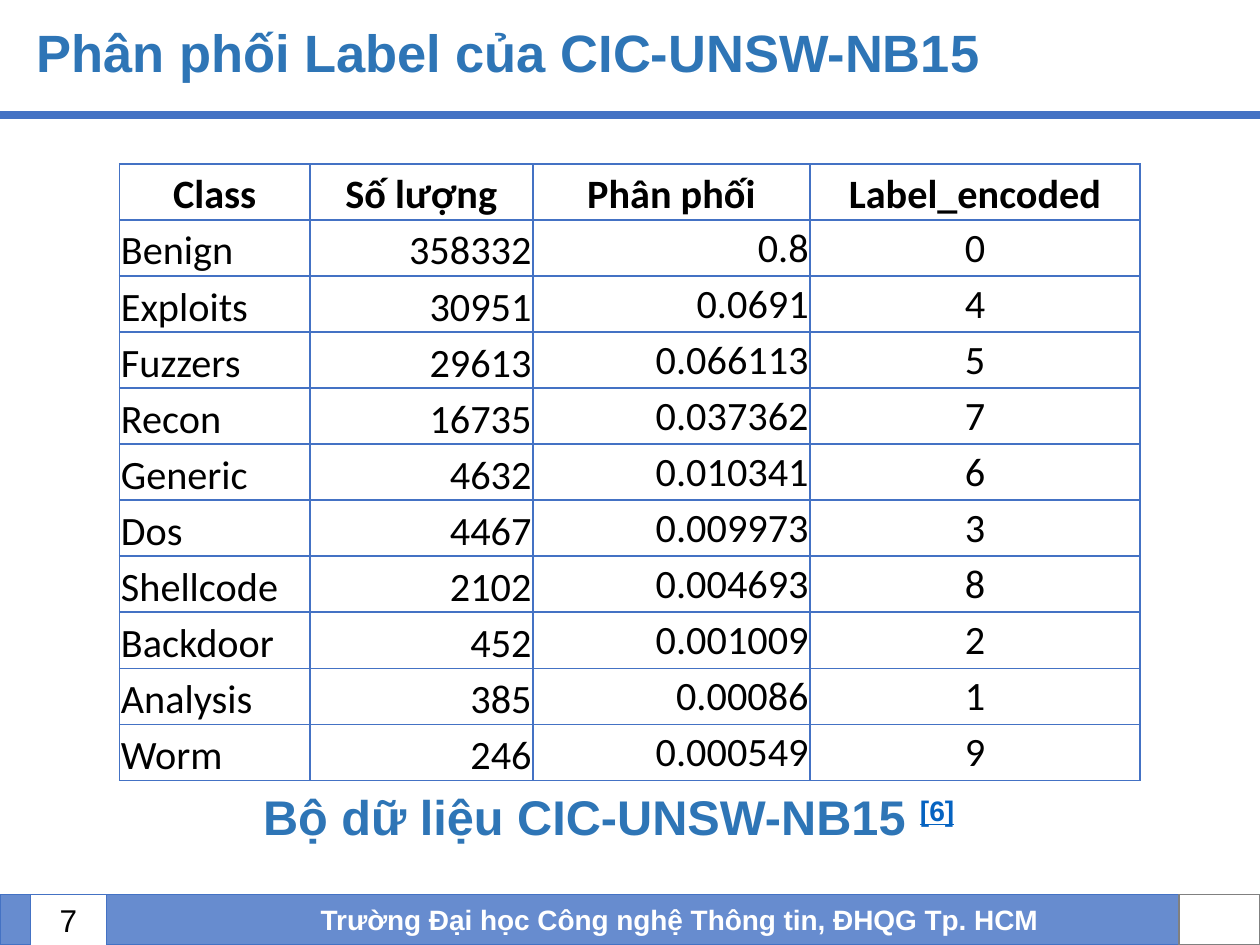
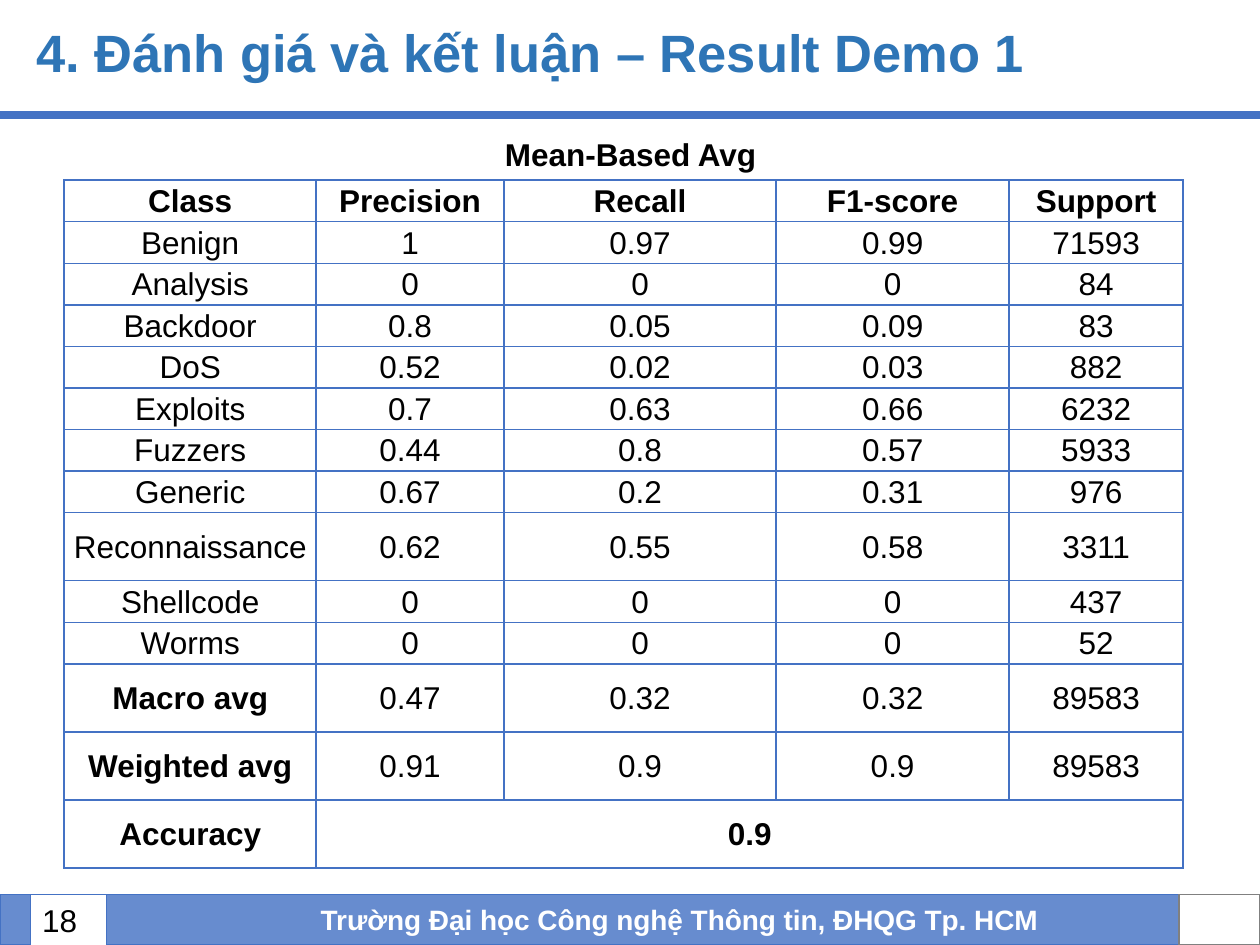
import lxml.etree
import pptx
import pptx.dml.color
import pptx.enum.shapes
import pptx.enum.text
import pptx.oxml.ns
import pptx.util

COLORS = {
    "band": "4472C4",
    "title": "2E75B6",
    "link": "0563C1",
    "frame": "808080",
    "white": "FFFFFF",
    "ink": "000000",
}
ALIGN = {
    "l": pptx.enum.text.PP_ALIGN.LEFT,
    "c": pptx.enum.text.PP_ALIGN.CENTER,
    "r": pptx.enum.text.PP_ALIGN.RIGHT,
}
ANCHOR = {
    "t": pptx.enum.text.MSO_ANCHOR.TOP,
    "m": pptx.enum.text.MSO_ANCHOR.MIDDLE,
    "b": pptx.enum.text.MSO_ANCHOR.BOTTOM,
}
SCHOOL = "Trường Đại học Công nghệ Thông tin, ĐHQG Tp. HCM"

# Grid of 100 columns by 75 rows on a 10 by 7.5 inch slide
COLUMNS, ROWS = 100, 75
FOOTER_TOP, FOOTER_HEIGHT = 71, 4
RULE_ROW = 9.1


def color(name):
    return pptx.dml.color.RGBColor.from_string(COLORS[name])


def add_xml(parent, tag, **attributes):
    return lxml.etree.SubElement(parent, pptx.oxml.ns.qn(tag), attributes)


class Slides:
    def __init__(self):
        self.deck = pptx.Presentation()
        self.deck.slide_width = pptx.util.Inches(10)
        self.deck.slide_height = pptx.util.Inches(7.5)
        self.page = None

    def across(self, columns):
        return int(self.deck.slide_width * columns / COLUMNS)

    def down(self, rows):
        return int(self.deck.slide_height * rows / ROWS)

    def place(self, left, top, width, height):
        return self.across(left), self.down(top), self.across(width), self.down(height)

    # Text
    def style(self, span, size, ink="ink", bold=False, font="Arial"):
        span.font.name = font
        span.font.size = pptx.util.Pt(size)
        span.font.bold = bold
        span.font.color.rgb = color(ink)

    def fill_text(self, frame, text, size, align="l", spacing=None, **look):
        frame.text = text
        para = frame.paragraphs[0]
        para.alignment = ALIGN[align]
        if spacing:
            para.line_spacing = spacing
        self.style(para.runs[0], size, **look)
        return para

    def text(self, at, text, size, anchor="m", **look):
        box = self.page.shapes.add_textbox(*self.place(*at))
        box.text_frame.word_wrap = True
        box.text_frame.vertical_anchor = ANCHOR[anchor]
        return self.fill_text(box.text_frame, text, size, **look)

    # Shapes and lines
    def rectangle(self, at, fill, line, weight):
        kind = pptx.enum.shapes.MSO_SHAPE.RECTANGLE
        box = self.page.shapes.add_shape(kind, *self.place(*at))
        box.shadow.inherit = False
        box.fill.solid()
        box.fill.fore_color.rgb = color(fill)
        box.line.color.rgb = color(line)
        box.line.width = pptx.util.Pt(weight)
        return box

    def rule(self, row):
        line = self.page.shapes.add_connector(
            pptx.enum.shapes.MSO_CONNECTOR.STRAIGHT,
            0, self.down(row), self.across(COLUMNS), self.down(row))
        line.line.color.rgb = color("band")
        line.line.width = pptx.util.Pt(4.5)
        add_xml(line._element.spPr, "a:effectLst")

    def footer_band(self):
        band = self.rectangle((0, FOOTER_TOP, 94.8, FOOTER_HEIGHT), "band", "band", 1)
        tint = band._element.spPr.xpath("./a:solidFill/a:srgbClr")[0]
        add_xml(tint, "a:alpha", val="81000")
        frame = band.text_frame
        frame.word_wrap = True
        frame.vertical_anchor = ANCHOR["m"]
        frame.margin_left = frame.margin_right = pptx.util.Inches(0.15)
        frame.margin_top = frame.margin_bottom = pptx.util.Inches(0.07)
        para = self.fill_text(frame, SCHOOL, 16, align="c", ink="white", bold=True)
        para._p.get_or_add_pPr().set("marL", str(self.across(13.1)))

    # A page with its title, rule, footer and number
    def new_page(self, title, number):
        self.page = self.deck.slides.add_slide(self.deck.slide_layouts[6])
        self.footer_band()
        self.rectangle((2.4, FOOTER_TOP, 6, FOOTER_HEIGHT), "white", "band", 0.25)
        self.rule(RULE_ROW)
        self.rectangle((93.6, FOOTER_TOP, 6.4, FOOTER_HEIGHT), "white", "frame", 1)
        self.text((1.9, 1.6, 89.8, 5.6), title, 30, spacing=0.9, ink="title", bold=True)
        self.text((1.1, FOOTER_TOP, 6, FOOTER_HEIGHT), number, 18, align="r")

    # Tables
    def border(self, cell):
        properties = cell._tc.get_or_add_tcPr()
        for index, side in enumerate(("a:lnL", "a:lnR", "a:lnT", "a:lnB")):
            line = add_xml(properties, side, w="12700")
            add_xml(add_xml(line, "a:solidFill"), "a:srgbClr", val=COLORS["band"])
            properties.insert(index, line)

    def table(self, corner, widths, heights, rows, size, font, aligns, anchors,
              bold_rows=()):
        at = self.place(*corner, sum(widths), sum(heights))
        grid = self.page.shapes.add_table(len(rows), len(widths), *at).table
        grid.first_row = grid.horz_banding = False
        for column, width in zip(grid.columns, widths):
            column.width = self.across(width)
        for index, (row, height) in enumerate(zip(rows, heights)):
            grid.rows[index].height = self.down(height)
            if len(row) < len(widths):
                last = grid.cell(index, len(widths) - 1)
                grid.cell(index, len(row) - 1).merge(last)
            for position in range(len(widths)):
                cell = grid.cell(index, position)
                cell.fill.background()
                self.border(cell)
                cell.margin_left = cell.margin_right = pptx.util.Inches(0.01)
                cell.margin_top, cell.margin_bottom = pptx.util.Inches(0.01), 0
                header = index == 0
                cell.vertical_anchor = ANCHOR[anchors[0] if header else anchors[position]]
                if position < len(row):
                    merged = len(row) < len(widths)
                    bold = header or merged or (position == 0 and row[0] in bold_rows)
                    self.fill_text(cell.text_frame, row[position], size, font=font,
                                   bold=bold, align="c" if header else aligns[position])


def label_distribution(slides):
    slides.new_page("Phân phối Label của CIC-UNSW-NB15", "7")
    rows = [
        ("Class", "Số lượng", "Phân phối", "Label_encoded"),
        ("Benign", "358332", "0.8", "0"),
        ("Exploits", "30951", "0.0691", "4"),
        ("Fuzzers", "29613", "0.066113", "5"),
        ("Recon", "16735", "0.037362", "7"),
        ("Generic", "4632", "0.010341", "6"),
        ("Dos", "4467", "0.009973", "3"),
        ("Shellcode", "2102", "0.004693", "8"),
        ("Backdoor", "452", "0.001009", "2"),
        ("Analysis", "385", "0.00086", "1"),
        ("Worm", "246", "0.000549", "9"),
    ]
    slides.table((9.5, 13), (15.1, 17.7, 22, 26.2), [4.45] * len(rows), rows,
                 size=23, font="Calibri", aligns="lrrc", anchors="bbmm")

    # Caption with its raised reference
    caption = slides.text((19.9, 62.3, 58, 5.6), "Bộ dữ liệu CIC-UNSW-NB15 ", 27.8,
                          spacing=0.9, ink="title", bold=True)
    reference = caption.add_run()
    reference.text = "[6]"
    slides.style(reference, 27.8, ink="link", bold=True)
    reference.font.underline = True
    reference._r.get_or_add_rPr().set("baseline", "30000")


def demo_result(slides):
    slides.new_page("4. Đánh giá và kết luận – Result Demo 1", "18")
    rows = [
        ("Class", "Precision", "Recall", "F1-score", "Support"),
        ("Benign", "1", "0.97", "0.99", "71593"),
        ("Analysis", "0", "0", "0", "84"),
        ("Backdoor", "0.8", "0.05", "0.09", "83"),
        ("DoS", "0.52", "0.02", "0.03", "882"),
        ("Exploits", "0.7", "0.63", "0.66", "6232"),
        ("Fuzzers", "0.44", "0.8", "0.57", "5933"),
        ("Generic", "0.67", "0.2", "0.31", "976"),
        ("Reconnaissance", "0.62", "0.55", "0.58", "3311"),
        ("Shellcode", "0", "0", "0", "437"),
        ("Worms", "0", "0", "0", "52"),
        ("Macro avg", "0.47", "0.32", "0.32", "89583"),
        ("Weighted avg", "0.91", "0.9", "0.9", "89583"),
        ("Accuracy", "0.9"),
    ]
    summary = ("Macro avg", "Weighted avg", "Accuracy")
    tall = summary + ("Reconnaissance",)
    heights = [5.4 if row[0] in tall else 3.3 for row in rows]
    slides.table((5.1, 14.3), (20, 14.9, 21.6, 18.5, 13.8), heights, rows,
                 size=18, font="Arial", aligns="ccccc", anchors="mmmmm",
                 bold_rows=summary)
    slides.text((27.4, 10.2, 45.3, 4), "Mean-Based Avg", 18, anchor="t",
                align="c", bold=True)


def main():
    slides = Slides()
    label_distribution(slides)
    demo_result(slides)
    slides.deck.save("out.pptx")


if __name__ == "__main__":
    main()
